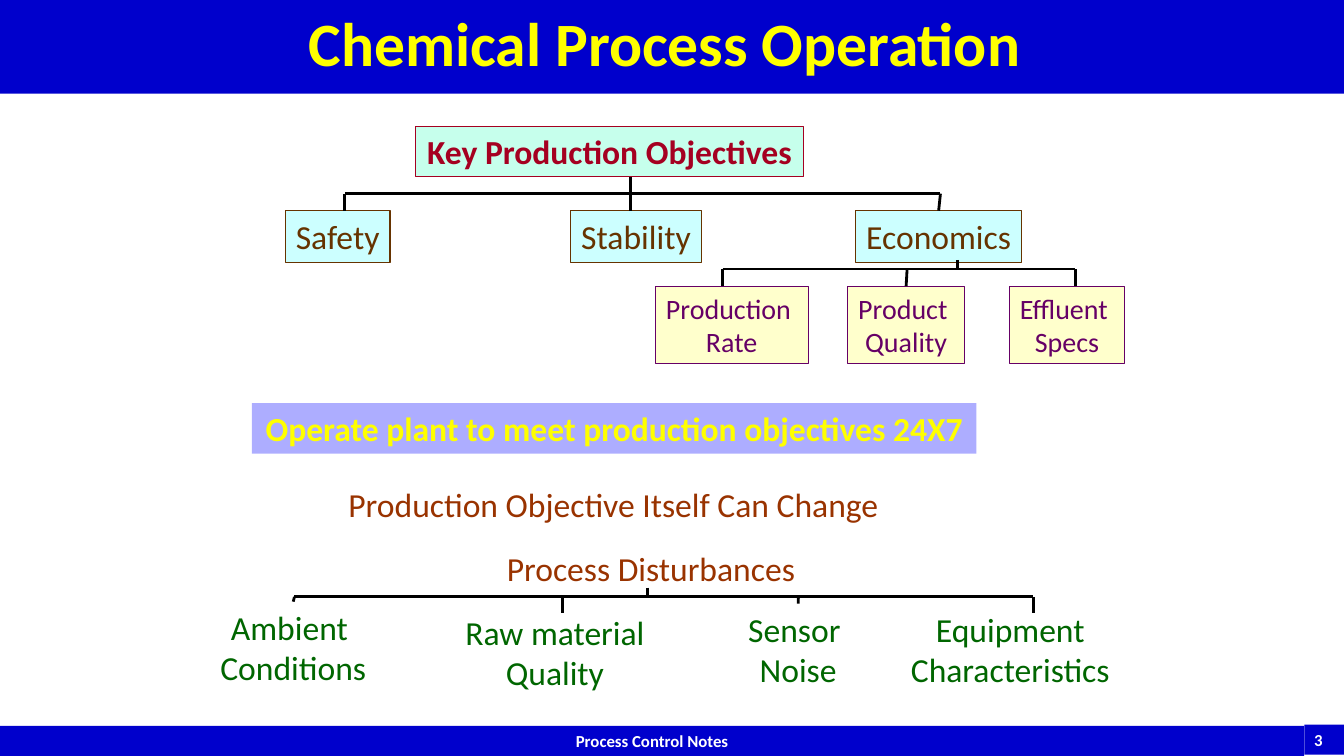
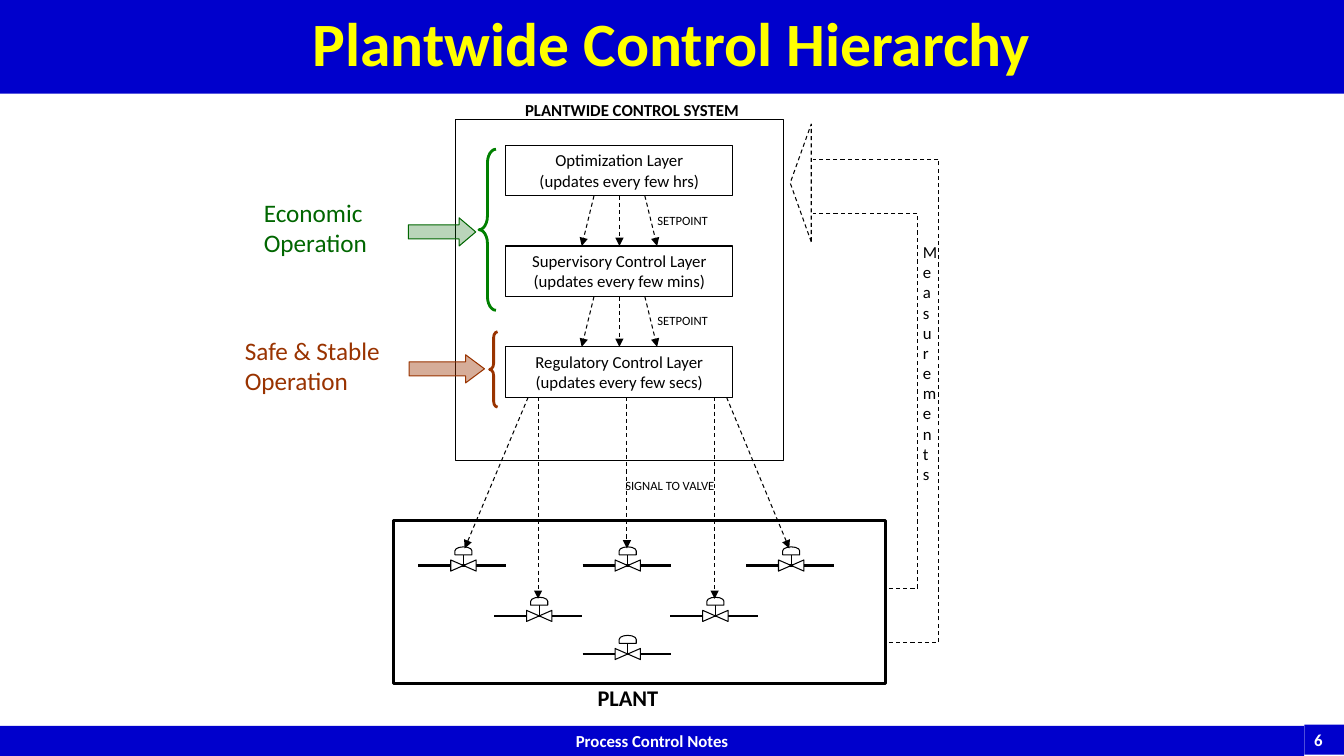
"""Build two process control slides: operating objectives and control hierarchy."""
from dataclasses import dataclass

from lxml.etree import SubElement
from pptx import Presentation
from pptx.dml.color import RGBColor
from pptx.enum.dml import MSO_LINE
from pptx.enum.shapes import MSO_CONNECTOR, MSO_SHAPE
from pptx.enum.text import MSO_ANCHOR, MSO_AUTO_SIZE, PP_ALIGN
from pptx.oxml.ns import qn
from pptx.util import Cm, Pt


@dataclass(frozen=True)
class Theme:
    font: str = "Calibri"
    band: str = "0000CC"
    heading: str = "FFFF00"
    white: str = "FFFFFF"
    black: str = "000000"
    mint: str = "66FFCC"
    crimson: str = "A50021"
    blue: str = "0000FF"
    cyan: str = "CCFFFF"
    brown: str = "663300"
    cream: str = "FFFFCC"
    purple: str = "660066"
    rust: str = "993300"
    green: str = "006600"
    brace_green: str = "008000"
    title_size: float = 44
    large: float = 24
    medium: float = 20
    note: float = 18
    plant: float = 16
    small: float = 12
    tiny: float = 9
    thin: float = 0.75
    thick: float = 2


THEME = Theme()
WIDTH, HEIGHT = 33.87, 19.05
FOOTER = "Process Control Notes"
JOIN_TOLERANCE = 0.05

OBJECTIVES_TITLE = "Chemical Process Operation "
KEY_OBJECTIVE = ("Key Production Objectives", (10.46, 3.18, 9.8, 1.27))
SLOGAN = ("Operate plant to meet production objectives 24X7", (6.35, 10.16, 18.26, 1.27))
STATEMENTS = [
    ("Production Objective Itself Can Change", (8.46, 12.07, 14, 1.3)),
    ("Process Disturbances", (11.86, 13.69, 9.09, 1.27)),
]
OBJECTIVES = [
    ("Safety", (7.19, 5.31, 2.64, 1.3)),
    ("Stability", (14.38, 5.31, 3.3, 1.3)),
    ("Economics", (21.56, 5.31, 4.19, 1.3)),
]
ECONOMIC_GOALS = [
    ("Production \nRate", (16.51, 7.21, 3.86, 1.96)),
    ("Product \nQuality", (21.36, 7.21, 2.95, 1.96)),
    ("Effluent \nSpecs", (25.43, 7.21, 2.92, 1.96)),
]
DISTURBANCES = [
    ("Ambient \nConditions", (5.28, 15.16, 4.22, 2.31)),
    ("Raw material\nQuality", (11.46, 15.29, 5.05, 2.31)),
    ("Sensor \nNoise", (18.59, 15.21, 3.05, 2.31)),
    ("Equipment\nCharacteristics", (22.68, 15.21, 5.56, 2.31)),
]
OBJECTIVE_TREE = dict(stem=(15.88, 4.45), rail=4.88, drops=(8.69, 15.88, 23.7), bottom=5.31)
GOAL_TREE = dict(stem=(24.13, 6.55), rail=6.78, drops=(18.21, 22.86, 27.1), bottom=7.21)
DISTURBANCE_TREE = dict(stem=(16.31, 14.81), rail=15.04,
                        drops=(7.42, 14.17, 20.12, 26.04), bottom=15.44)

HIERARCHY_TITLE = "Plantwide Control Hierarchy"
LAYERS = [
    "Optimization Layer\n(updates every few hrs)",
    "Supervisory Control Layer\n(updates every few mins)",
    "Regulatory Control Layer\n(updates every few secs)",
]
LAYER_LEFT, LAYER_TOP, LAYER_WIDTH, LAYER_HEIGHT, LAYER_STEP = 12.75, 3.66, 5.72, 1.27, 2.54
SETPOINT_SPREAD = [(-0.64, -0.95), (0, 0), (0.64, 0.95)]
SIGNALS = [
    ((13.31, 10.01), (11.71, 13.82)),
    ((13.56, 10.01), (13.56, 15.09)),
    ((15.8, 10.01), (15.8, 13.82)),
    ((18.01, 10.01), (18.01, 15.09)),
    ((18.31, 10.01), (19.89, 13.82)),
]
VALVES = [(11.68, 14.25), (15.82, 14.25), (19.94, 14.25),
          (13.59, 15.52), (18.03, 15.52), (15.82, 16.48)]
MEASUREMENT_PATHS = [
    [(22.4, 14.83), (23.11, 14.83), (23.11, 5.38), (20.5, 5.38)],
    [(22.4, 16.18), (23.65, 16.18), (23.65, 4.01), (20.5, 4.01)],
]
PLANT_BOX = (9.91, 13.11, 12.4, 4.11)
SYSTEM_BOX = (11.48, 3.02, 8.26, 8.59)
DIAGRAM_LABELS = [
    ("PLANT", (14.81, 17.12, 2.54, 0.97), THEME.plant, True, PP_ALIGN.LEFT),
    ("PLANTWIDE CONTROL SYSTEM", (12.12, 2.39, 7.62, 0.97), THEME.small, True, PP_ALIGN.CENTER),
    ("SETPOINT", (16.32, 5.23, 2.54, 0.97), THEME.tiny, False, PP_ALIGN.LEFT),
    ("SETPOINT", (16.32, 7.77, 2.54, 0.97), THEME.tiny, False, PP_ALIGN.LEFT),
    ("SIGNAL TO VALVE", (15.29, 11.91, 3.18, 0.97), THEME.tiny, False, PP_ALIGN.CENTER),
    ("Measurements", (23.01, 5.97, 0.64, 6.15), THEME.small, False, PP_ALIGN.RIGHT),
]
OPERATIONS = [
    dict(text="Economic Operation", text_at=(6.4, 4.85, 3.76, 1.78), color=THEME.green,
         brace_at=(12.07, 3.76, 0.43, 4.06), brace_color=THEME.brace_green, curl=0.8,
         arrow_at=(10.29, 5.49, 1.7, 0.71), head=0.59, alpha=27),
    dict(text="Safe & Stable Operation", text_at=(5.92, 8.33, 4.52, 1.78), color=THEME.rust,
         brace_at=(12.34, 8.36, 0.2, 1.9), brace_color=THEME.rust, curl=0.75,
         arrow_at=(10.31, 8.94, 1.9, 0.71), head=0.67, alpha=40),
]


def set_text(shape, text, size, color, bold=False, align=PP_ALIGN.CENTER,
             wrap=False, anchor=MSO_ANCHOR.TOP):
    frame = shape.text_frame
    frame.text = text
    frame.auto_size = MSO_AUTO_SIZE.NONE
    frame.word_wrap = wrap
    frame.vertical_anchor = anchor
    for paragraph in frame.paragraphs:
        paragraph.alignment = align
        paragraph.font.name = THEME.font
        paragraph.font.size = Pt(size)
        paragraph.font.bold = bold
        paragraph.font.color.rgb = RGBColor.from_string(color)


def fill_shape(shape, color, alpha=None):
    shape.fill.solid()
    shape.fill.fore_color.rgb = RGBColor.from_string(color)
    if alpha is not None:
        tint = shape.fill._xPr.find(qn("a:solidFill"))[0]
        SubElement(tint, qn("a:alpha")).set("val", str(alpha * 1000))


def style_line(line, color, weight, dashed=False):
    line.color.rgb = RGBColor.from_string(color)
    line.width = Pt(weight)
    if dashed:
        line.dash_style = MSO_LINE.DASH


def add_box(slide, place, fill=None, line=None, weight=THEME.thin, kind=MSO_SHAPE.RECTANGLE,
            alpha=None, dashed=False, rotation=0, adjustments=()):
    box = slide.shapes.add_shape(kind, *map(Cm, place))
    box.shadow.inherit = False
    box.rotation = rotation
    for index, value in enumerate(adjustments):
        box.adjustments[index] = value
    if fill:
        fill_shape(box, fill, alpha)
    else:
        box.fill.background()
    if line:
        style_line(box.line, line, weight, dashed)
    else:
        box.line.fill.background()
    return box


def add_turned(slide, kind, center, width, height, dashed=False):
    place = (center[0] - width / 2, center[1] - height / 2, width, height)
    return add_box(slide, place, THEME.white, THEME.black, kind=kind, dashed=dashed, rotation=270)


def add_label(slide, text, place, size, color, **options):
    label = slide.shapes.add_textbox(*map(Cm, place))
    set_text(label, text, size, color, **options)
    return label


def add_line(slide, start, end, weight=THEME.thin, dashed=False, arrow=False):
    line = slide.shapes.add_connector(MSO_CONNECTOR.STRAIGHT, *map(Cm, (*start, *end)))
    style_line(line.line, THEME.black, weight, dashed)
    properties = line._element.spPr
    if arrow:
        SubElement(properties.find(qn("a:ln")), qn("a:tailEnd")).set("type", "triangle")
    SubElement(properties, qn("a:effectLst"))
    return line


def add_tree(slide, boxes, stem, rail, drops, bottom):
    add_line(slide, stem, (stem[0], rail), THEME.thick)
    add_line(slide, (drops[0], rail), (drops[-1], rail), THEME.thick)
    for x, box in zip(drops, boxes):
        drop = add_line(slide, (x, rail), (x, bottom), THEME.thick)
        if abs(box.left + box.width / 2 - Cm(x)) < Cm(JOIN_TOLERANCE):
            drop.end_connect(box, 0)


def add_row(slide, items, size, color, fill):
    boxes = []
    for text, place in items:
        box = add_box(slide, place, fill, color)
        set_text(box, text, size, color)
        boxes.append(box)
    return boxes


def add_page(deck, title, number):
    page = deck.slides.add_slide(deck.slide_layouts[5])
    heading = page.shapes.title
    heading.left, heading.top, heading.width, heading.height = map(Cm, (0, 0, WIDTH, 2.36))
    fill_shape(heading, THEME.band)
    set_text(heading, title, THEME.title_size, THEME.heading, bold=True, wrap=True,
             anchor=MSO_ANCHOR.MIDDLE)
    heading.text_frame.paragraphs[0].line_spacing = 0.9
    footer = add_box(page, (0, 18.29, 32.87, 0.76), THEME.band)
    set_text(footer, FOOTER, THEME.small, THEME.white, bold=True, wrap=True)
    counter = add_box(page, (32.87, 18.26, 1, 0.76), THEME.band)
    set_text(counter, str(number), THEME.small, THEME.white, bold=True, align=PP_ALIGN.LEFT)
    return page


def build_objectives(deck):
    page = add_page(deck, OBJECTIVES_TITLE, 3)
    text, place = KEY_OBJECTIVE
    key = add_box(page, place, THEME.mint, THEME.crimson, alpha=37)
    set_text(key, text, THEME.large, THEME.crimson, bold=True, anchor=MSO_ANCHOR.BOTTOM)
    text, place = SLOGAN
    slogan = add_box(page, place, THEME.blue, alpha=32)
    set_text(slogan, text, THEME.large, THEME.heading, bold=True)
    for text, place in STATEMENTS:
        add_label(page, text, place, THEME.large, THEME.rust)
    objectives = add_row(page, OBJECTIVES, THEME.large, THEME.brown, THEME.cyan)
    add_tree(page, objectives, **OBJECTIVE_TREE)
    goals = add_row(page, ECONOMIC_GOALS, THEME.medium, THEME.purple, THEME.cream)
    add_tree(page, goals, **GOAL_TREE)
    causes = [add_label(page, text, place, THEME.large, THEME.green)
              for text, place in DISTURBANCES]
    add_tree(page, causes, **DISTURBANCE_TREE)


def add_valve(slide, x, y):
    add_line(slide, (x - 1.14, y), (x + 1.08, y), THEME.thick)
    add_turned(slide, MSO_SHAPE.FLOWCHART_COLLATE, (x, y), 0.28, 0.64)
    add_line(slide, (x, y), (x, y - 0.28))
    add_turned(slide, MSO_SHAPE.FLOWCHART_DELAY, (x, y - 0.37), 0.2, 0.43)


def add_layers(slide):
    places = [(LAYER_LEFT, LAYER_TOP + index * LAYER_STEP, LAYER_WIDTH, LAYER_HEIGHT)
              for index in range(len(LAYERS))]
    boxes = add_row(slide, zip(LAYERS, places), THEME.small, THEME.black, THEME.white)
    middle = LAYER_LEFT + LAYER_WIDTH / 2
    for index, (upper, lower) in enumerate(zip(boxes, boxes[1:])):
        start_y = places[index][1] + LAYER_HEIGHT
        end_y = places[index + 1][1]
        for near, far in SETPOINT_SPREAD:
            arrow = add_line(slide, (middle + near, start_y), (middle + far, end_y),
                             dashed=True, arrow=True)
            if near == far:
                arrow.begin_connect(upper, 2)
                arrow.end_connect(lower, 0)


def build_hierarchy(deck):
    page = add_page(deck, HIERARCHY_TITLE, 6)
    add_box(page, PLANT_BOX, line=THEME.black, weight=THEME.thick)
    for x, y in VALVES:
        add_valve(page, x, y)
    for points in MEASUREMENT_PATHS:
        for start, end in zip(points, points[1:]):
            add_line(page, start, end, dashed=True)
    add_turned(page, MSO_SHAPE.ISOSCELES_TRIANGLE, (20.18, 4.61), 2.97, 0.53, dashed=True)
    for start, end in SIGNALS:
        add_line(page, start, end, dashed=True, arrow=True)
    add_layers(page)
    add_box(page, SYSTEM_BOX, line=THEME.black)
    for text, place, size, bold, align in DIAGRAM_LABELS:
        add_label(page, text, place, size, THEME.black, bold=bold, align=align, wrap=True)
    for item in OPERATIONS:
        add_box(page, item["brace_at"], line=item["brace_color"], weight=THEME.thick,
                kind=MSO_SHAPE.LEFT_BRACE, adjustments=(item["curl"], 0.5))
        add_box(page, item["arrow_at"], item["color"], item["color"], alpha=item["alpha"],
                kind=MSO_SHAPE.RIGHT_ARROW, adjustments=(0.5, item["head"]))
        add_label(page, item["text"], item["text_at"], THEME.note, item["color"],
                  align=PP_ALIGN.LEFT, wrap=True)


def main():
    deck = Presentation()
    deck.slide_width, deck.slide_height = Cm(WIDTH), Cm(HEIGHT)
    build_objectives(deck)
    build_hierarchy(deck)
    deck.save("out.pptx")


if __name__ == "__main__":
    main()
